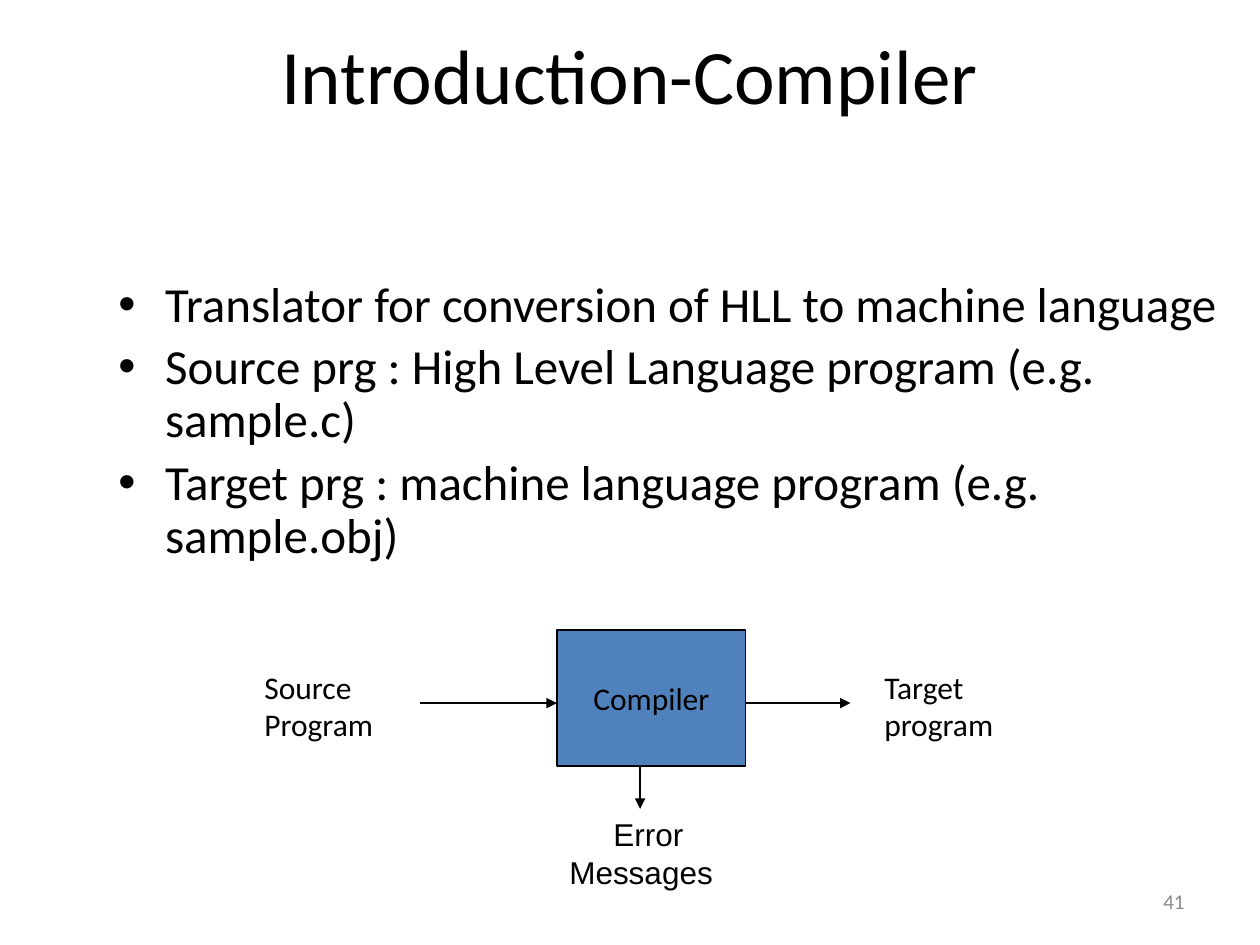
from lxml import etree
from pptx import Presentation
from pptx.dml.color import RGBColor
from pptx.enum.shapes import MSO_CONNECTOR, MSO_SHAPE
from pptx.enum.text import MSO_ANCHOR, MSO_AUTO_SIZE, PP_ALIGN
from pptx.oxml.ns import qn
from pptx.util import Inches, Pt

LEFT, CENTER, RIGHT = PP_ALIGN.LEFT, PP_ALIGN.CENTER, PP_ALIGN.RIGHT
TOP, MIDDLE = MSO_ANCHOR.TOP, MSO_ANCHOR.MIDDLE
NO_AUTOFIT = MSO_AUTO_SIZE.NONE
STRAIGHT, RECTANGLE = MSO_CONNECTOR.STRAIGHT, MSO_SHAPE.RECTANGLE

COLORS = {"text": "000000", "box": "4F81BD", "line": "000000", "number": "8B8B8B"}
LINE_WIDTH = Pt(0.75)


def color(name):
    return RGBColor.from_string(COLORS[name])


def place(shape, box):
    shape.left, shape.top, shape.width, shape.height = map(Inches, box)


def write_text(shape, lines, size=18, font="Calibri", text_color="text",
               align=LEFT, anchor=TOP, wrap=True, spacing=None, before=None,
               margin=None, indent=None):
    """Fill a shape with one paragraph per line, all in one format."""
    frame = shape.text_frame
    frame.auto_size = NO_AUTOFIT
    frame.word_wrap = wrap
    frame.vertical_anchor = anchor
    frame.text = "\n".join(lines)
    for paragraph in frame.paragraphs:
        paragraph.alignment = align
        if spacing is not None:
            paragraph.line_spacing = spacing
        if before is not None:
            paragraph.space_before = Pt(before)
        properties = paragraph._p.get_or_add_pPr()
        if margin is not None:
            properties.set("marL", str(Inches(margin)))
        if indent is not None:
            properties.set("indent", str(Inches(indent)))
        for run in paragraph.runs:
            run.font.size = Pt(size)
            run.font.name = font
            run.font.color.rgb = color(text_color)


def add_label(slide, box, lines, **text_format):
    label = slide.shapes.add_textbox(*map(Inches, box))
    write_text(label, lines, **text_format)


def add_arrow(slide, start, end):
    arrow = slide.shapes.add_connector(STRAIGHT, *map(Inches, start + end))
    arrow.line.color.rgb = color("line")
    arrow.line.width = LINE_WIDTH
    etree.SubElement(arrow.line._get_or_add_ln(), qn("a:tailEnd"), type="triangle")
    etree.SubElement(arrow._element.spPr, qn("a:effectLst"))


def add_title(slide, box):
    title = slide.shapes.title
    place(title, box)
    write_text(title, ["Introduction-Compiler"], size=44, align=CENTER, spacing=0.9)
    title.text_frame.margin_top = 0


def add_bullets(slide, box):
    body = slide.placeholders[1]
    place(body, box)
    write_text(body, [
        "Translator for conversion of HLL to machine language",
        "Source prg : High Level Language program (e.g. sample.c)",
        "Target prg : machine language program (e.g. sample.obj)",
    ], size=28, spacing=0.9, before=5.6, margin=0.38, indent=-0.37)


def add_compiler_diagram(slide, box):
    left, top, width, height = box
    right, bottom = left + width, top + height
    flow_y = top + 0.58
    error_x = left + 0.66

    # Compiler box
    compiler = slide.shapes.add_shape(RECTANGLE, *map(Inches, box))
    compiler.shadow.inherit = False
    compiler.fill.solid()
    compiler.fill.fore_color.rgb = color("box")
    compiler.line.color.rgb = color("line")
    compiler.line.width = LINE_WIDTH
    write_text(compiler, ["Compiler"], align=CENTER, anchor=MIDDLE, wrap=False)

    # Input, output and error arrows
    add_arrow(slide, (left - 1.09, flow_y), (left, flow_y))
    add_arrow(slide, (right, flow_y), (right + 0.83, flow_y))
    add_arrow(slide, (error_x, bottom), (error_x, bottom + 0.34))

    # Labels at the far ends of the arrows
    add_label(slide, (left - 2.42, top + 0.25, 1.25, 1), ["Source", "Program"])
    add_label(slide, (right + 1, top + 0.25, 1.17, 1), ["Target", "program"])
    add_label(slide, (left, bottom + 0.34, 1.42, 0.7), ["Error Messages"],
              font="Arial", margin=0, indent=0.35)


def main():
    presentation = Presentation()
    presentation.slide_width = Inches(10)
    presentation.slide_height = Inches(7.5)
    slide = presentation.slides.add_slide(presentation.slide_layouts[1])

    add_title(slide, (0.5, 0.3, 9, 1.25))
    add_bullets(slide, (0.83, 2.17, 9.17, 2.67))
    add_compiler_diagram(slide, (4.42, 5, 1.5, 1.08))
    # Slide number
    add_label(slide, (7.17, 6.95, 2.33, 0.4), ["41"], size=12,
              text_color="number", align=RIGHT, anchor=MIDDLE)

    presentation.save("out.pptx")


if __name__ == "__main__":
    main()
